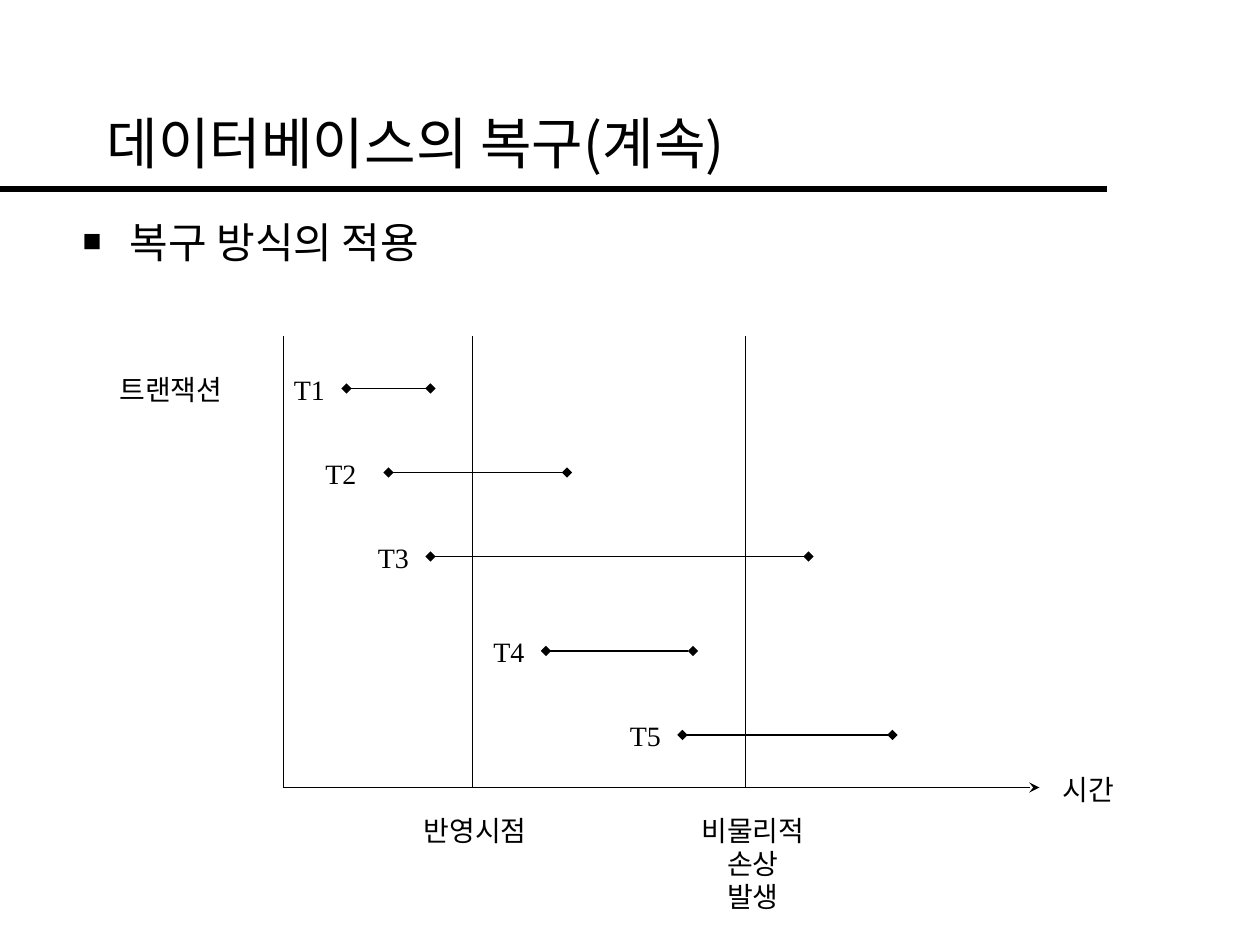
from lxml.etree import SubElement
from pptx import Presentation
from pptx.dml.color import RGBColor
from pptx.enum.shapes import MSO_CONNECTOR
from pptx.enum.text import MSO_ANCHOR, MSO_AUTO_SIZE, PP_ALIGN
from pptx.oxml.ns import qn
from pptx.util import Emu, Pt

PX = 914400 // 120
COLORS = {"ink": "000000", "paper": "FFFFFF"}
SANS = "Noto Sans CJK KR"
SERIF = "Times New Roman"
TRANSACTIONS = [
    ("T1", 60, 50, 80, 62),
    ("T2", 100, 130, 170, 72),
    ("T3", 140, 210, 360, 62),
    ("T4", 250, 300, 140, 62),
    ("T5", 380, 380, 200, 62),
]


def px(length):
    return Emu(length * PX)


def color(name):
    return RGBColor.from_string(COLORS[name])


def add_line(page, start, end, weight=1, head=None, tail=None):
    line = page.shapes.add_connector(
        MSO_CONNECTOR.STRAIGHT, *map(px, start + end))
    line.line.color.rgb = color("ink")
    line.line.width = Pt(weight)
    outline = line.line._get_or_add_ln()
    for tag, kind in (("a:headEnd", head), ("a:tailEnd", tail)):
        if kind:
            SubElement(outline, qn(tag), type=kind)
    SubElement(line._element.spPr, qn("a:effectLst"))


def add_text(page, box, lines, size, font, wrap=True):
    frame = page.shapes.add_textbox(*map(px, box)).text_frame
    frame.word_wrap = wrap
    frame.text = "\n".join(lines)
    for para in frame.paragraphs:
        for span in para.runs:
            span.font.size = Pt(size)
            span.font.name = font
            span.font.color.rgb = color("ink")
            SubElement(span.font._element, qn("a:ea"), typeface=SANS)
    return frame


def add_label(page, box, lines, wrap=False, align=PP_ALIGN.LEFT):
    frame = add_text(page, box, lines, 16, SERIF, wrap)
    frame.auto_size = MSO_AUTO_SIZE.SHAPE_TO_FIT_TEXT
    for para in frame.paragraphs:
        para.alignment = align
        para.line_spacing = Pt(19)


def add_bullet(para):
    props = para._p.get_or_add_pPr()
    props.set("marL", str(px(45)))
    props.set("indent", str(px(-45)))
    tint = SubElement(props, qn("a:buClr"))
    SubElement(tint, qn("a:srgbClr"), val=COLORS["ink"])
    SubElement(props, qn("a:buSzPct"), val="75000")
    SubElement(props, qn("a:buFont"), typeface=SERIF)
    SubElement(props, qn("a:buChar"), char="■")


def add_heading(page, left, top, width, height):
    add_line(page, (0, top + 120), (1054, top + 120), weight=4)
    frame = add_text(page, (left, top, width, height),
                     ["데이터베이스의 복구(계속)"], 32, SANS)
    frame.vertical_anchor = MSO_ANCHOR.MIDDLE


def add_body(page, left, top, width, height):
    frame = add_text(page, (left, top, width, height),
                     ["복구 방식의 적용"], 24, SANS)
    add_bullet(frame.paragraphs[0])


def add_timeline(page, left, top, width, height):
    bottom = top + height
    for offset in (0, 180, 440):
        add_line(page, (left + offset, top), (left + offset, bottom))
    add_line(page, (left, bottom), (left + width, bottom), tail="stealth")

    add_label(page, (left - 168, top + 29, 124, 44), ["트랜잭션"])
    add_label(page, (left + 730, bottom - 20, 76, 44), ["시간"])
    add_label(page, (left + 122, bottom + 19, 124, 44), ["반영시점"])
    add_label(page, (left + 385, bottom + 19, 124, 108),
              ["비물리적", "손상 발생"], wrap=True, align=PP_ALIGN.CENTER)

    for name, offset, drop, length, gap in TRANSACTIONS:
        x, y = left + offset, top + drop
        add_line(page, (x, y), (x + length, y), head="diamond", tail="diamond")
        add_label(page, (x - gap, y - 21, 54, 44), [name])


def main():
    deck = Presentation()
    deck.slide_width, deck.slide_height = px(1200), px(900)
    page = deck.slides.add_slide(deck.slide_layouts[6])
    page.background.fill.solid()
    page.background.fill.fore_color.rgb = color("paper")
    add_heading(page, 90, 60, 1020, 150)
    add_body(page, 67, 200, 1037, 528)
    add_timeline(page, 270, 320, 720, 430)
    deck.save("out.pptx")


if __name__ == "__main__":
    main()
